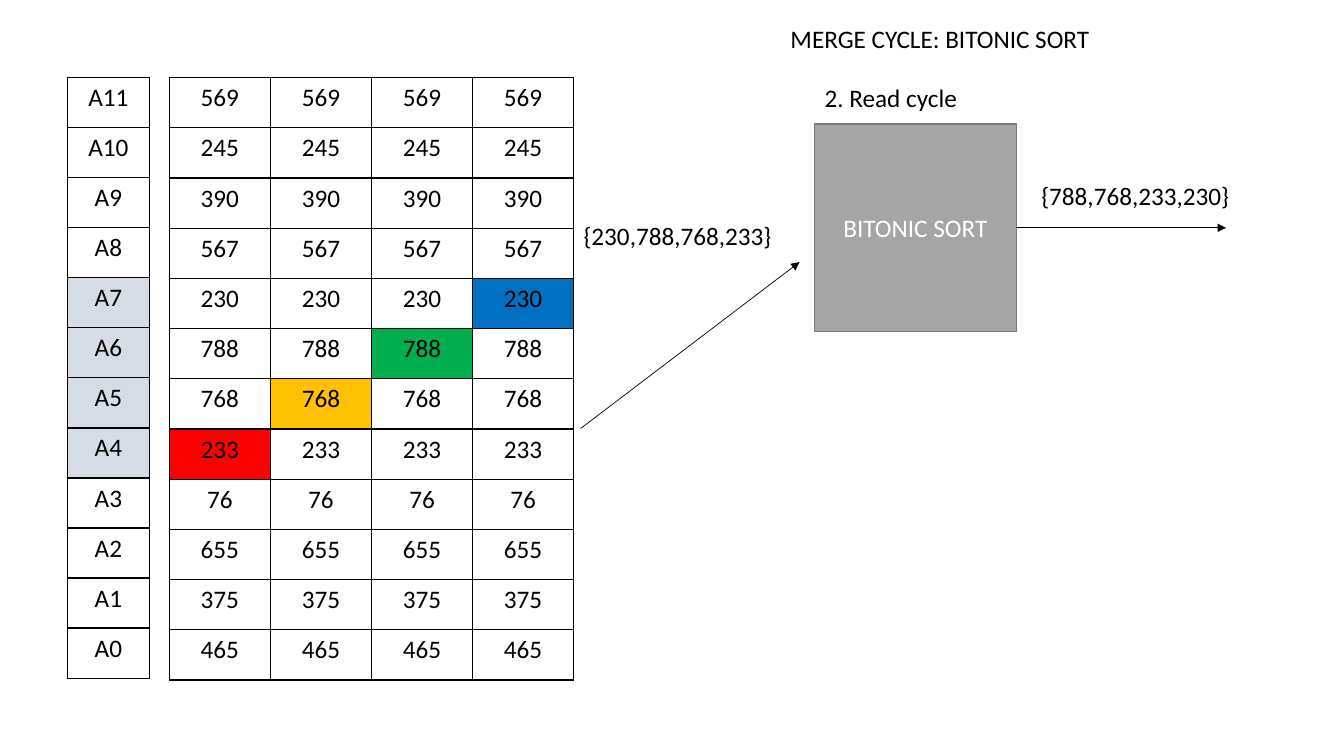
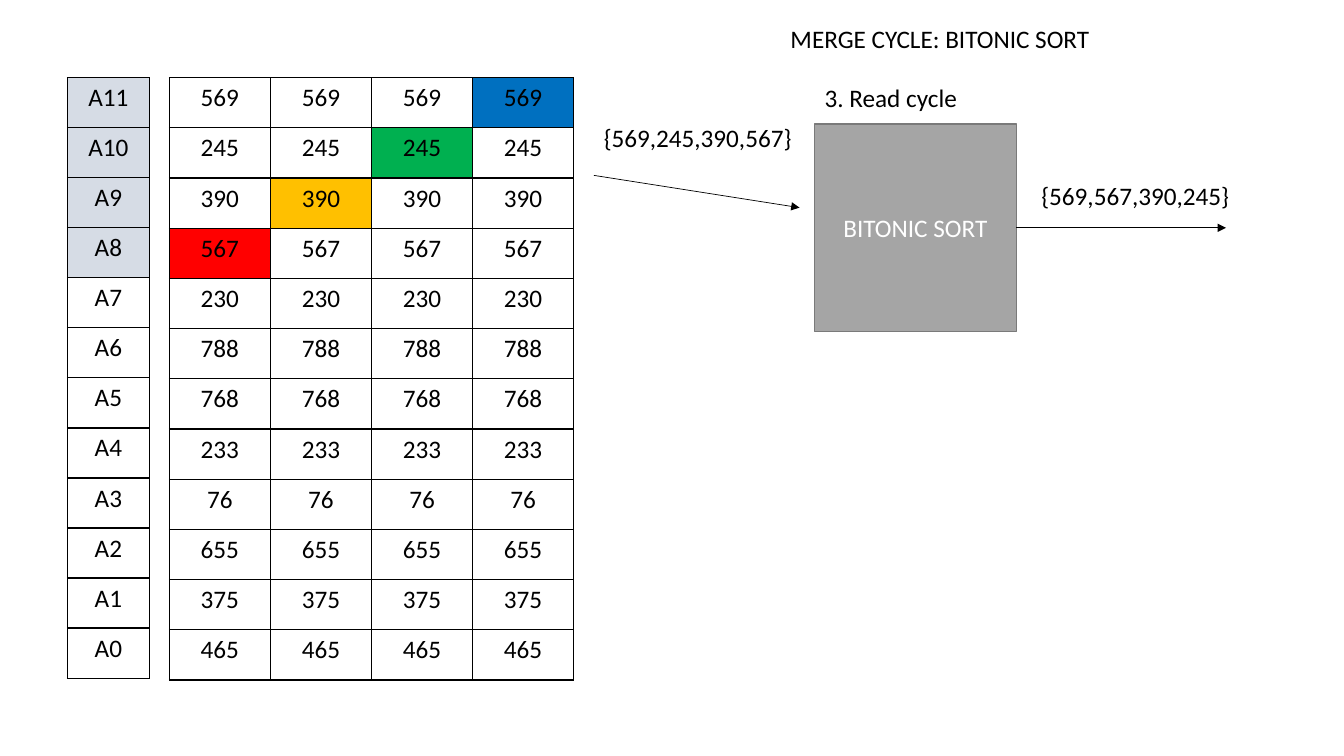
from lxml import etree
from pptx import Presentation
from pptx.dml.color import RGBColor
from pptx.enum.shapes import MSO_CONNECTOR as CONN, MSO_SHAPE as SHAPE
from pptx.enum.text import MSO_ANCHOR as ANCHOR, MSO_AUTO_SIZE as AUTO, PP_ALIGN as ALIGN
from pptx.oxml.ns import qn
from pptx.util import Inches, Pt

FONT, SIZE = "Calibri", 18
BLACK, WHITE = "000000", "FFFFFF"
GREY, GREY_EDGE, ACTIVE = "A5A5A5", "7A7A7A", "D6DCE5"
DIAGONAL = ["0070C0", "00B050", "FFC000", "FF0000"]  # last column to first
VALUES = [569, 245, 390, 567, 230, 788, 768, 233, 76, 655, 375, 465]
ADDRESSES = [f"A{n}" for n in reversed(range(len(VALUES)))]
LANES = len(DIAGONAL)

# step label, first row read, input label, arrow ends, input, output
CYCLES = [
    ("2. Read cycle", 4, (5.69, 2.14), ((5.76, 4.25), (7.93, 2.6)),
     "{230,788,768,233}", "{788,768,233,230}"),
    ("3. Read cycle", 0, (5.89, 1.16), ((5.89, 1.74), (7.93, 2.06)),
     "{569,245,390,567}", "{569,567,390,245}"),
]


def rgb(color):
    return RGBColor.from_string(color)


def write(tf, text, color=BLACK, align=ALIGN.LEFT):
    p = tf.paragraphs[0]
    p.alignment = align
    r = p.add_run()
    r.text = text
    r.font.name, r.font.size = FONT, Pt(SIZE)
    r.font.color.rgb = rgb(color)


def add_label(slide, x, y, w, text):
    tf = slide.shapes.add_textbox(*map(Inches, (x, y, w, 0.4))).text_frame
    tf.word_wrap = True
    write(tf, text)


def add_arrow(slide, start, end):
    line = slide.shapes.add_connector(CONN.STRAIGHT, *map(Inches, (*start, *end)))
    line.line.color.rgb = rgb(BLACK)
    line.line.width = Pt(0.5)
    ln = line.line._get_or_add_ln()
    etree.SubElement(ln, qn("a:tailEnd"), type="triangle")
    etree.SubElement(line._element.spPr, qn("a:effectLst"))


def set_borders(cell):
    tc_pr = cell._tc.get_or_add_tcPr()
    for side in ("lnL", "lnR", "lnT", "lnB"):
        ln = etree.SubElement(tc_pr, qn(f"a:{side}"), w=str(Pt(1)))
        fill = etree.SubElement(ln, qn("a:solidFill"))
        etree.SubElement(fill, qn("a:srgbClr"), val=BLACK)


def add_grid(slide, x, y, w, h, rows, fills):
    """Table of equal cells; fills maps (row, column) to a colour."""
    n_cols = len(rows[0])
    frame = slide.shapes.add_table(len(rows), n_cols, *map(Inches, (x, y, w, h)))
    table = frame.table
    table.first_row = table.horz_banding = False
    for col in table.columns:
        col.width = Inches(w / n_cols)
    for i, row in enumerate(rows):
        table.rows[i].height = Inches(h / len(rows))
        for j, value in enumerate(row):
            cell = table.cell(i, j)
            set_borders(cell)
            if (i, j) in fills:
                cell.fill.solid()
                cell.fill.fore_color.rgb = rgb(fills[i, j])
            else:
                cell.fill.background()
            write(cell.text_frame, str(value), align=ALIGN.CENTER)


def add_memory(slide, x, y, first):
    """Value banks beside their addresses, with the rows being read marked."""
    banks = {(first + k, LANES - 1 - k): c for k, c in enumerate(DIAGONAL)}
    active = {(first + k, 0): ACTIVE for k in range(LANES)}
    add_grid(slide, x + 1.01, y, 4.01, 5.98, [[v] * LANES for v in VALUES], banks)
    add_grid(slide, x, y, 0.81, 5.96, [[a] for a in ADDRESSES], active)


def add_sorter(slide, x, y, step, output):
    """Sorting block with its step label above and its output on the right."""
    w, h = 2, 2.06
    sp = slide.shapes.add_shape(SHAPE.RECTANGLE, *map(Inches, (x, y, w, h)))
    sp.shadow.inherit = False
    sp.fill.solid()
    sp.fill.fore_color.rgb = rgb(GREY)
    sp.line.color.rgb = rgb(GREY_EDGE)
    sp.line.width = Pt(1)
    sp.text_frame.vertical_anchor = ANCHOR.MIDDLE
    write(sp.text_frame, "BITONIC SORT", WHITE, ALIGN.CENTER)
    add_label(slide, x, y - 0.46, w, step)
    middle = y + h / 2
    add_arrow(slide, (x + w, middle), (x + w + 2.08, middle))
    add_label(slide, x + w + 0.15, middle - 0.52, 2.2, output)


def add_title(slide, text):
    sp = slide.shapes.title
    sp.left, sp.top, sp.width, sp.height = map(Inches, (7.74, 0.18, 3.25, 0.4))
    tf = sp.text_frame
    tf.auto_size = AUTO.NONE
    tf.word_wrap = True
    tf.vertical_anchor = ANCHOR.TOP
    write(tf, text)


def add_cycle_slide(prs, step, first, label_at, arrow, values, output):
    slide = prs.slides.add_slide(prs.slide_layouts[5])
    add_title(slide, "MERGE CYCLE: BITONIC SORT")
    add_memory(slide, 0.67, 0.77, first)
    add_sorter(slide, 8.08, 1.23, step, output)
    add_arrow(slide, *arrow)
    add_label(slide, *label_at, 2.2, values)


def main():
    prs = Presentation()
    prs.slide_width, prs.slide_height = Inches(13.33), Inches(7.5)
    for cycle in CYCLES:
        add_cycle_slide(prs, *cycle)
    prs.save("out.pptx")


if __name__ == "__main__":
    main()
